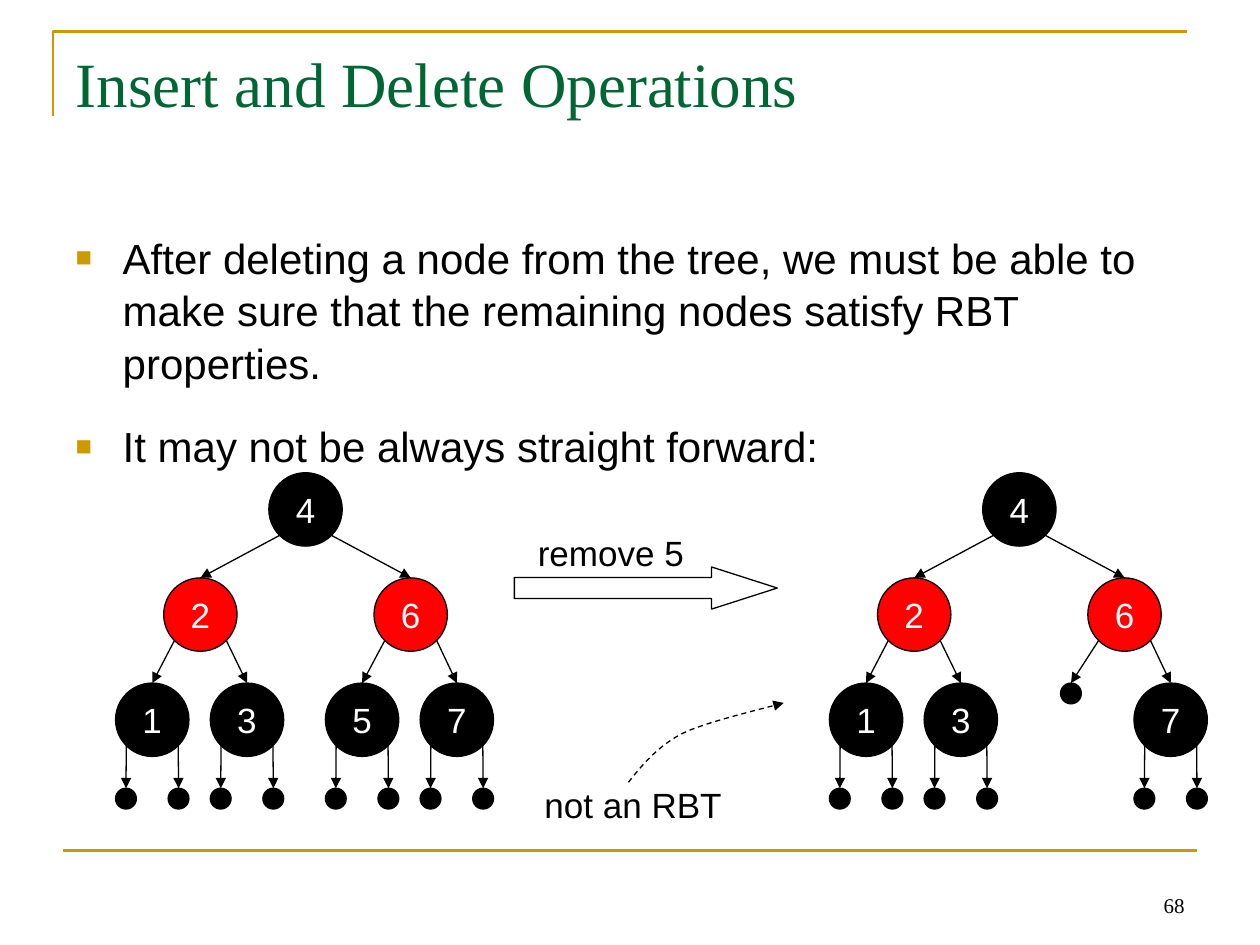
from lxml import etree
from pptx import Presentation
from pptx.dml.color import RGBColor
from pptx.enum.dml import MSO_LINE
from pptx.enum.shapes import MSO_CONNECTOR as CONN, MSO_SHAPE as SHAPE
from pptx.enum.text import MSO_ANCHOR as ANCHOR, MSO_AUTO_SIZE as AUTO, PP_ALIGN as ALIGN
from pptx.oxml.ns import qn
from pptx.util import Cm, Pt

BLACK, WHITE, RED, GOLD, GREEN = "000000", "FFFFFF", "FF0101", "CC9900", "006633"
NODE, NIL, ROW = 1.48, 0.42, 2.12
DIAG = NODE / 2 * 0.707


def rgb(value):
    return RGBColor.from_string(value)


def add_run(p, text, size, color, font="Arial"):
    r = p.add_run()
    r.text = text
    r.font.name, r.font.size = font, Pt(size)
    r.font.color.rgb = rgb(color)


def set_line(sp, color=BLACK, width=0.75):
    sp.line.color.rgb = rgb(color)
    sp.line.width = Pt(width)


def add_head(sp):
    ln = sp._element.spPr.find(qn("a:ln"))
    etree.SubElement(ln, qn("a:tailEnd"), type="triangle")


def add_line(s, x1, y1, x2, y2, color=BLACK, width=0.75):
    line = s.shapes.add_connector(CONN.STRAIGHT, Cm(x1), Cm(y1), Cm(x2), Cm(y2))
    set_line(line, color, width)
    etree.SubElement(line._element.spPr, qn("a:effectLst"))
    return line


def add_outline(s, points, color=BLACK, width=0.75):
    start, *rest = [(Cm(x), Cm(y)) for x, y in points]
    builder = s.shapes.build_freeform(*start)
    builder.add_line_segments(rest, close=False)
    sp = builder.convert_to_shape()
    sp.fill.background()
    sp.shadow.inherit = False
    set_line(sp, color, width)
    return sp


def add_label(s, box, text, size=20, font="Arial", align=ALIGN.CENTER, anchor=ANCHOR.TOP):
    tf = s.shapes.add_textbox(*map(Cm, box)).text_frame
    tf.word_wrap = False
    tf.vertical_anchor = anchor
    p = tf.paragraphs[0]
    p.alignment = align
    add_run(p, text, size, BLACK, font)


def add_frame(s, x, y, w, h):
    add_outline(s, [(x, y + 1.7), (x, y), (x + w, y)], GOLD, 1.5)
    add_line(s, x + 0.2, y + h, x + 0.2 + w, y + h, GOLD, 1.5)
    add_label(s, (x + w - 5.72, y + h + 0.2, 5.92, 1.27), "68", 12, "Times New Roman",
              ALIGN.RIGHT, ANCHOR.BOTTOM)


def place(ph, box):
    ph.left, ph.top, ph.width, ph.height = map(Cm, box)
    tf = ph.text_frame
    tf.auto_size = AUTO.NONE
    tf.vertical_anchor = ANCHOR.TOP
    return tf


def fill_title(ph, box, text):
    p = place(ph, box).paragraphs[0]
    p.alignment = ALIGN.LEFT
    add_run(p, text, 36, GREEN, "Times New Roman")


def add_bullet(p):
    pPr = p._p.get_or_add_pPr()
    pPr.set("marL", str(Cm(0.95)))
    pPr.set("indent", str(-Cm(0.95)))
    color = etree.SubElement(pPr, qn("a:buClr"))
    etree.SubElement(color, qn("a:srgbClr"), val=GOLD)
    etree.SubElement(pPr, qn("a:buSzPct"), val="65000")
    etree.SubElement(pPr, qn("a:buFont"), typeface="Arial")
    etree.SubElement(pPr, qn("a:buChar"), char="■")


def fill_body(ph, box, items):
    tf = place(ph, box)
    for i, text in enumerate(items):
        p = tf.paragraphs[0] if i == 0 else tf.add_paragraph()
        add_bullet(p)
        p.line_spacing = 1.05
        p.space_before = Pt(17 if i else 0)
        add_run(p, text, 24, BLACK)


def add_circle(s, cx, top, size, color):
    sp = s.shapes.add_shape(SHAPE.OVAL, Cm(cx - size / 2), Cm(top), Cm(size), Cm(size))
    sp.shadow.inherit = False
    sp.fill.solid()
    sp.fill.fore_color.rgb = rgb(color)
    set_line(sp)
    return sp


def add_node(s, x, y, node):
    cx, key, color, children = node
    if key is None:
        return add_circle(s, x + cx, y, NIL, color)
    sp = add_circle(s, x + cx, y, NODE, color)
    tf = sp.text_frame
    tf.word_wrap = False
    tf.margin_left = tf.margin_right = 0
    tf.vertical_anchor = ANCHOR.MIDDLE
    p = tf.paragraphs[0]
    p.alignment = ALIGN.CENTER
    add_run(p, key, 20, WHITE)
    for side, child in zip((-1, 1), children):
        child_sp = add_node(s, x, y + ROW, child)
        edge = add_line(s, x + cx + side * DIAG, y + NODE / 2 + DIAG, x + child[0], y + ROW)
        edge.end_connect(child_sp, 0)
        add_head(edge)
    return sp


def nil(cx):
    return cx, None, BLACK, ()


def leaf(cx, key):
    return cx, key, BLACK, (nil(cx - 0.53), nil(cx + 0.53))


def add_tree(s, x, y, left_of_six):
    two = (1.71, "2", RED, (leaf(0.74, "1"), leaf(2.65, "3")))
    six = (5.95, "6", RED, (left_of_six, leaf(6.88, "7")))
    add_node(s, x, y, (3.83, "4", BLACK, (two, six)))


def bezier(p0, p1, p2, p3, steps=10):
    for i in range(1, steps + 1):
        t = i / steps
        weights = ((1 - t) ** 3, 3 * t * (1 - t) ** 2, 3 * t * t * (1 - t), t ** 3)
        yield tuple(sum(w * c for w, c in zip(weights, axis)) for axis in zip(p0, p1, p2, p3))


def add_step(s, x, y):
    add_label(s, (x + 0.22, y, 3.45, 1.11), "remove 5")
    arrow = s.shapes.add_shape(SHAPE.RIGHT_ARROW, Cm(x), Cm(y + 0.84), Cm(5.3), Cm(0.85))
    arrow.adjustments[0], arrow.adjustments[1] = 0.5, 1.56
    arrow.fill.background()
    arrow.shadow.inherit = False
    set_line(arrow)
    add_label(s, (x + 0.35, y + 5.08, 4.09, 1.11), "not an RBT")
    knots = [(2.3, 5.18), (2.58, 4.83), (2.89, 4.45), (3.4, 4.19),
             (3.93, 3.94), (5.1, 3.68), (5.43, 3.58)]
    knots = [(x + dx, y + dy) for dx, dy in knots]
    curve = add_outline(s, [knots[0], *bezier(*knots[:4]), *bezier(*knots[3:])])
    curve.line.dash_style = MSO_LINE.DASH
    add_head(curve)


def main():
    prs = Presentation()
    prs.slide_width, prs.slide_height = Cm(25.4), Cm(19.05)
    s = prs.slides.add_slide(prs.slide_layouts[1])
    add_frame(s, 1.07, 0.64, 22.86, 16.51)
    fill_title(s.shapes.title, (1.27, 0.76, 22.86, 3.18), "Insert and Delete Operations")
    fill_body(s.placeholders[1], (1.27, 4.5, 22.86, 12.5), [
        "After deleting a node from the tree, we must be able to make sure that "
        "the remaining nodes satisfy RBT properties.",
        "It may not be always straight forward:",
    ])
    add_tree(s, 2.33, 9.53, leaf(4.97, "5"))
    add_step(s, 10.37, 10.59)
    add_tree(s, 16.72, 9.53, nil(4.87))
    prs.save("out.pptx")


if __name__ == "__main__":
    main()
